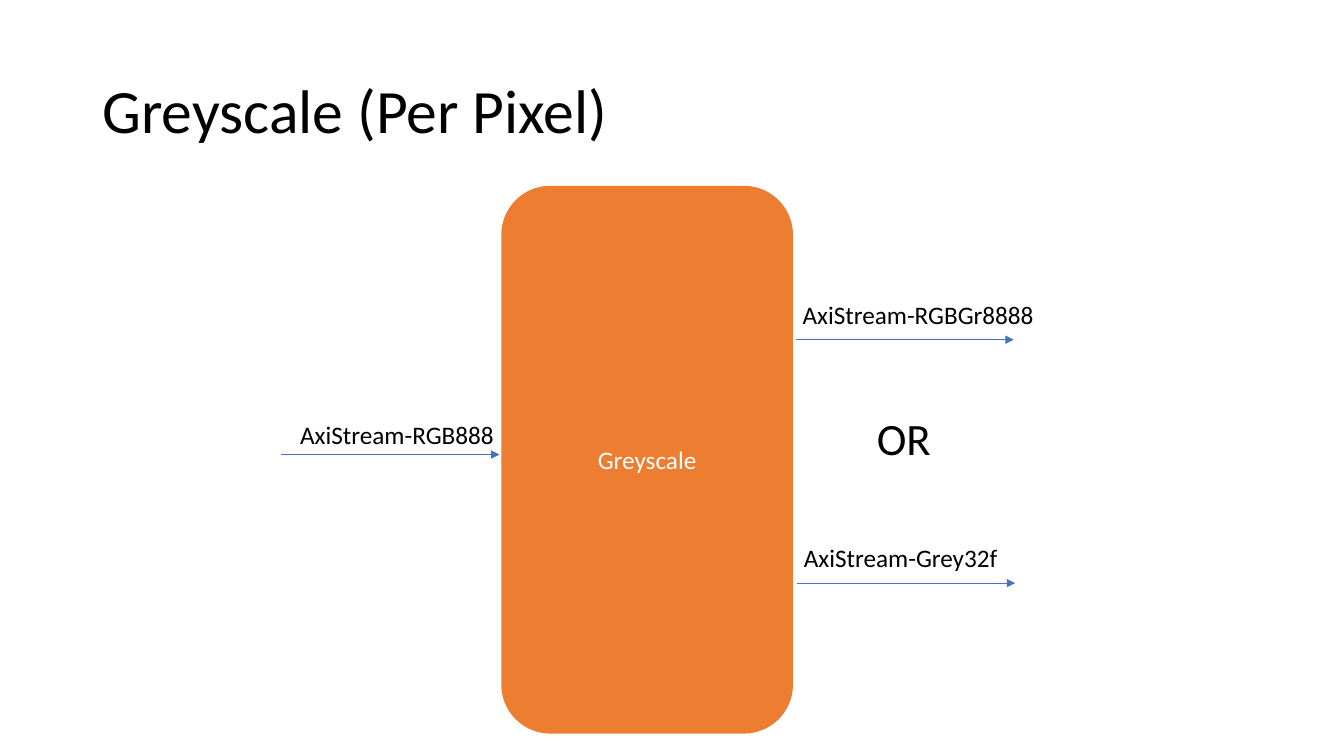
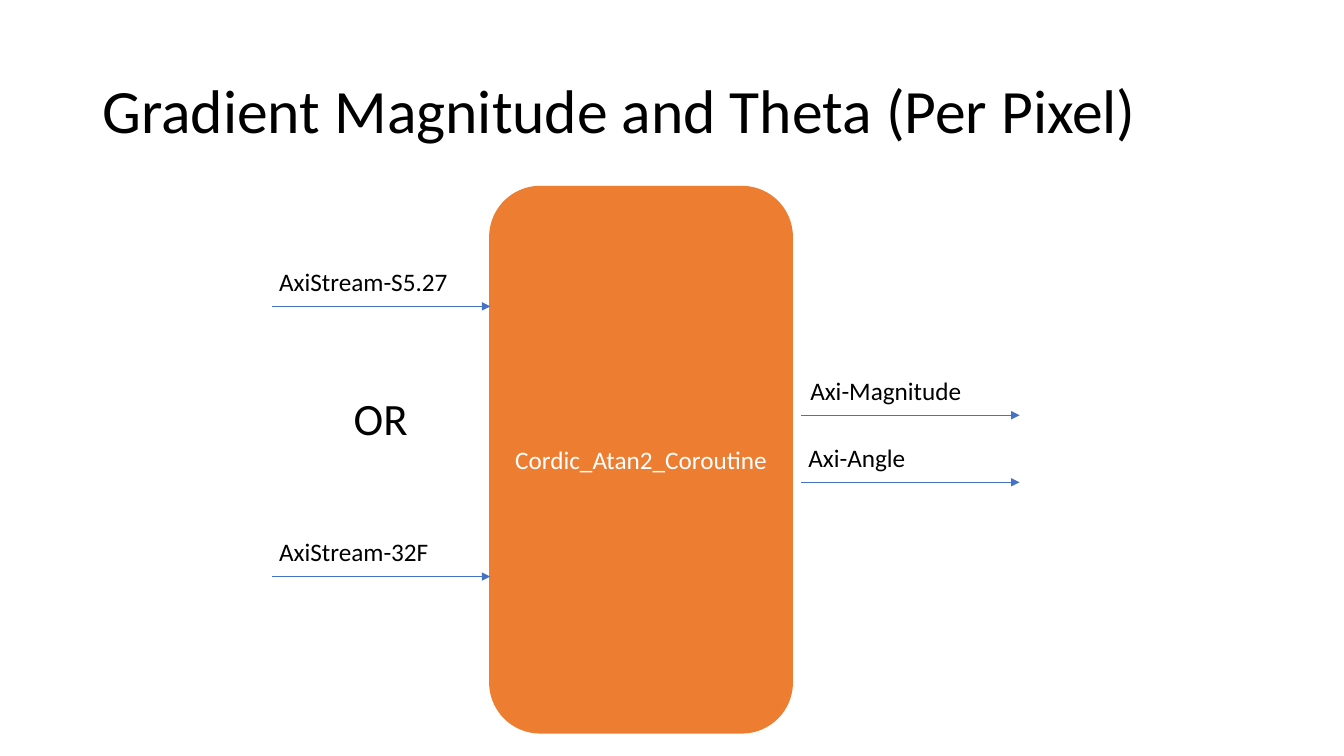
from lxml.etree import SubElement
from pptx import Presentation
from pptx.dml.color import RGBColor
from pptx.enum.shapes import MSO_CONNECTOR as Connector, MSO_SHAPE as Preset
from pptx.enum.text import MSO_ANCHOR as Anchor, MSO_AUTO_SIZE as AutoSize, PP_ALIGN as Align
from pptx.oxml.ns import qn
from pptx.util import Inches, Pt

COLOURS = {"text": "000000", "block": "ED7D31", "block_text": "FFFFFF", "arrow": "4472C4"}
FONT = "Calibri"
BLANK_LAYOUT = 6
BLOCK_RIGHT, BLOCK_TOP, BLOCK_HEIGHT = 58.95, 24.67, 72.27
ARROW_LENGTH = 16.23
LABEL_WIDTH, LABEL_HEIGHT = 20, 5.33


def colour(name):
    return RGBColor.from_string(COLOURS[name])


class Deck:
    """Holds the style and the current slide; all lengths are percentages of the slide's size."""

    def __init__(self):
        self.presentation = Presentation()
        self.presentation.slide_width = Inches(13.33)
        self.presentation.slide_height = Inches(7.5)
        self.slide = None

    def across(self, share):
        return round(self.presentation.slide_width * share / 100)

    def down(self, share):
        return round(self.presentation.slide_height * share / 100)

    def box(self, left, top, width, height):
        return self.across(left), self.down(top), self.across(width), self.down(height)

    def set_text(self, shape, text, size, colour_name="text"):
        paragraph = shape.text_frame.paragraphs[0]
        paragraph.text = text
        paragraph.font.name = FONT
        paragraph.font.size = Pt(size)
        paragraph.font.color.rgb = colour(colour_name)
        return paragraph

    def new_slide(self, title):
        layout = self.presentation.slide_layouts[BLANK_LAYOUT]
        self.slide = self.presentation.slides.add_slide(layout)
        shape = self.slide.shapes.add_textbox(*self.box(6.88, 5.33, 86.25, 19.33))
        shape.text_frame.word_wrap = True
        shape.text_frame.vertical_anchor = Anchor.MIDDLE
        self.set_text(shape, title, 44).line_spacing = 0.9

    def block(self, name, left):
        """Draw the processing block, which always ends at the same right edge."""
        bounds = self.box(left, BLOCK_TOP, BLOCK_RIGHT - left, BLOCK_HEIGHT)
        shape = self.slide.shapes.add_shape(Preset.ROUNDED_RECTANGLE, *bounds)
        shape.shadow.inherit = False
        shape.fill.solid()
        shape.fill.fore_color.rgb = colour("block")
        shape.line.color.rgb = colour("block")
        shape.line.width = Pt(1)
        shape.text_frame.vertical_anchor = Anchor.MIDDLE
        self.set_text(shape, name, 18, "block_text").alignment = Align.CENTER

    def label(self, text, left, top, width=LABEL_WIDTH, height=LABEL_HEIGHT, size=18, wrap=True):
        shape = self.slide.shapes.add_textbox(*self.box(left, top, width, height))
        shape.text_frame.word_wrap = wrap
        shape.text_frame.auto_size = AutoSize.SHAPE_TO_FIT_TEXT
        self.set_text(shape, text, size)

    def alternative(self, left, top):
        self.label("OR", left, top, 5.55, 8.53, size=32, wrap=False)

    def arrow(self, left, level):
        start, end, height = self.across(left), self.across(left + ARROW_LENGTH), self.down(level)
        connector = self.slide.shapes.add_connector(Connector.STRAIGHT, start, height, end, height)
        connector.line.color.rgb = colour("arrow")
        connector.line.width = Pt(0.5)
        properties = connector.element.spPr
        SubElement(properties.find(qn("a:ln")), qn("a:tailEnd"), type="triangle")
        SubElement(properties, qn("a:effectLst"))

    def signal(self, name, left, level, indent=-0.22, rise=6):
        """Draw an arrow to the right with its name above it."""
        self.arrow(left, level)
        self.label(name, left + indent, level - rise)


def greyscale(deck):
    deck.new_slide("Greyscale (Per Pixel)")
    deck.block("Greyscale", 37.35)
    deck.signal("AxiStream-RGB888", 20.93, 60.13, indent=0.67, rise=5.33)
    deck.signal("AxiStream-RGBGr8888", 59.2, 44.93)
    deck.signal("AxiStream-Grey32f", 59.3, 77.13)
    deck.alternative(64.5, 53.73)


def gradient(deck):
    deck.new_slide("Gradient Magnitude and Theta (Per Pixel)")
    deck.block("Cordic_Atan2_Coroutine", 36.45)
    inputs_left, outputs_left = 20.25, 59.63
    deck.signal("AxiStream-S5.27", inputs_left, 40.53)
    deck.signal("AxiStream-32F", inputs_left, 76.27)
    deck.alternative(25.58, 51.07)
    deck.signal("Axi-Magnitude", outputs_left, 54.93, indent=-0.08)
    deck.signal("Axi-Angle", outputs_left, 63.8)


def main():
    deck = Deck()
    greyscale(deck)
    gradient(deck)
    deck.presentation.save("out.pptx")


if __name__ == "__main__":
    main()
